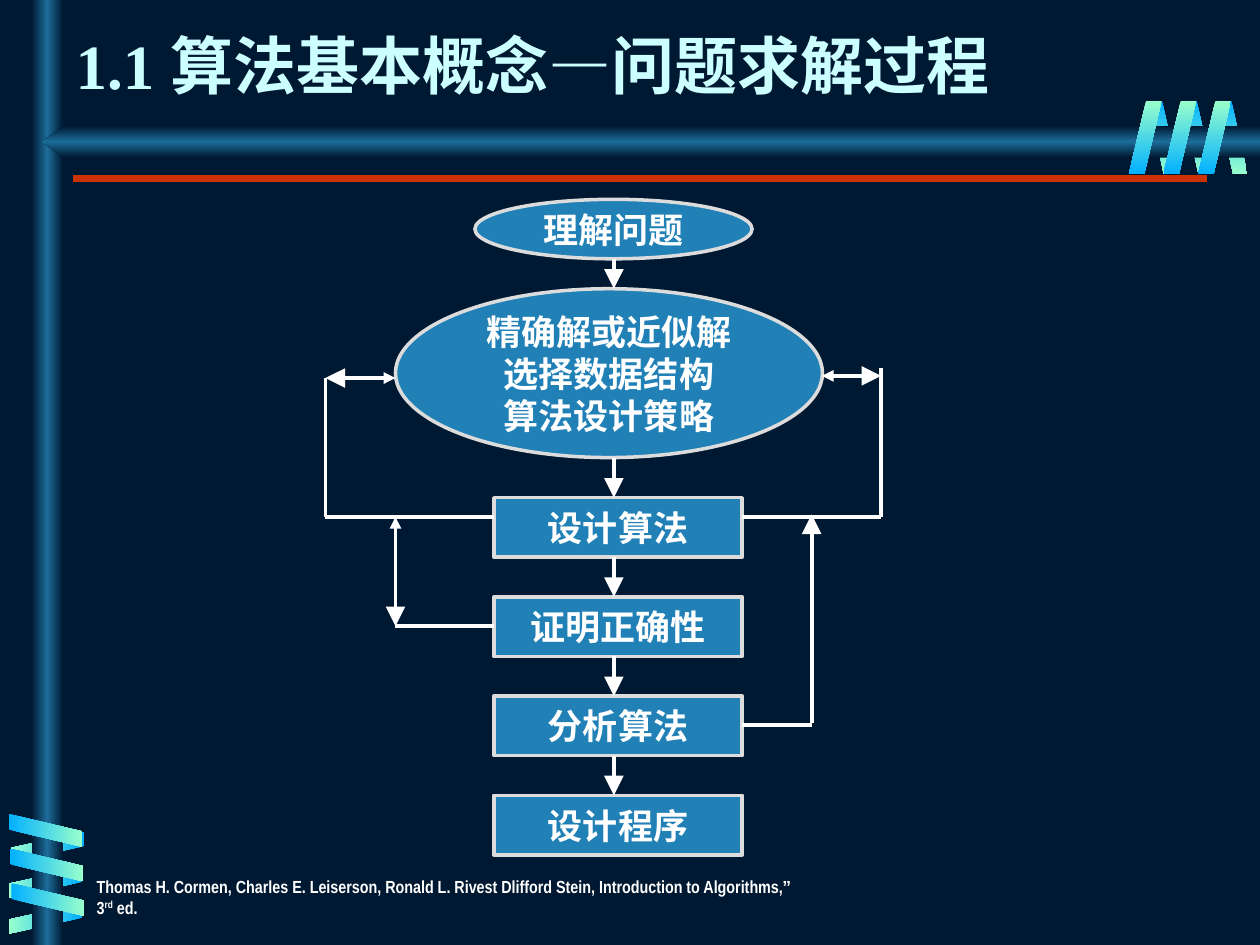
"""Build a slide with a flowchart of the problem-solving process."""
import pptx
import pptx.dml.color
import pptx.enum.shapes
import pptx.enum.text
import pptx.oxml
import pptx.oxml.ns
import pptx.util

Pt = pptx.util.Pt
RGB = pptx.dml.color.RGBColor
Kind = pptx.enum.shapes.MSO_SHAPE
NAVY = RGB(0x00, 0x19, 0x32)
STEEL = RGB(0x1C, 0x6D, 0x9A)
SKY = RGB(0x01, 0xB0, 0xFF)
MINT = RGB(0x99, 0xFF, 0xCC)
PALE = RGB(0xCC, 0xFF, 0xFF)
BLUE = RGB(0x21, 0x81, 0xB7)
GREY = RGB(0xDC, 0xDC, 0xDC)
RED = RGB(0xCC, 0x33, 0x00)
WHITE = RGB(0xFF, 0xFF, 0xFF)
SPACE = pptx.oxml.ns.nsdecls("a")


def shade(shape, tones, angle):
    shape.fill.background()
    last = len(tones) - 1
    stops = "".join(
        f'<a:gs pos="{100000 * i // last}"><a:srgbClr val="{tone}"/></a:gs>'
        for i, tone in enumerate(tones))
    grad = pptx.oxml.parse_xml(
        f'<a:gradFill {SPACE} rotWithShape="0"><a:gsLst>{stops}</a:gsLst>'
        f'<a:lin ang="{angle * 60000}" scaled="1"/></a:gradFill>')
    props = shape._element.spPr
    props.replace(props.find(pptx.oxml.ns.qn("a:noFill")), grad)


def link(start, end, tone=WHITE, width=2.25, head=False, tail=False):
    line = slide.shapes.add_connector(
        pptx.enum.shapes.MSO_CONNECTOR.STRAIGHT,
        Pt(start[0]), Pt(start[1]), Pt(end[0]), Pt(end[1]))
    line.line.color.rgb = tone
    line.line.width = Pt(width)
    for shown, tag, size in ((head, "headEnd", "med"), (tail, "tailEnd", "lg")):
        if shown:
            line.line._get_or_add_ln().append(pptx.oxml.parse_xml(
                f'<a:{tag} {SPACE} type="triangle" w="{size}" len="{size}"/>'))
    line._element.spPr.append(pptx.oxml.parse_xml(f"<a:effectLst {SPACE}/>"))


deck = pptx.Presentation()
deck.slide_width, deck.slide_height = Pt(720), Pt(540)
slide = deck.slides.add_slide(deck.slide_layouts[5])
slide.background.fill.solid()
slide.background.fill.fore_color.rgb = NAVY

SLANT = Kind.PARALLELOGRAM
decor = [(SLANT, 695.5 - 19.8 * i, 57.6, 17.3, 41.8, 180, True, 0.53, (SKY, MINT), 90)
         for i in range(3)]
decor += [(SLANT, left, 463 + 20.5 * i, 17.3, 41.8, 90, True, 0.53, (SKY, MINT), 0)
          for i, left in enumerate((18.7, 17.3, 17.3))]
decor += [(Kind.RECTANGLE, 18, 0, 18, 540, 0, False, None, (NAVY, STEEL, NAVY), 0),
          (Kind.PENTAGON, 23.8, 72, 696.2, 18, 0, True, 0.68, (NAVY, STEEL, NAVY), 90)]
decor += [(SLANT, 16.6 + 0.7 * i, 453.6 + 19.8 * i, 18.7, 41.8, 270, False, 0.53, (SKY, MINT), 0)
          for i in range(3)]
decor += [(SLANT, 684.7 - 19.8 * i, 57.6, 18.7, 41.8, 0, False, 0.53, (MINT, SKY), 90)
          for i in range(3)]
for kind, left, top, width, height, turn, flip, bend, tones, angle in decor:
    shape = slide.shapes.add_shape(kind, Pt(left), Pt(top), Pt(width), Pt(height))
    shape.shadow.inherit = False
    shape.rotation = turn
    shape.line.fill.background()
    if flip:
        shape._element.spPr.xfrm.set("flipH", "1")
    if bend:
        shape.adjustments[0] = bend
    shade(shape, tones, angle)

link((42, 102), (690, 102), RED, 4.5)

title = slide.shapes.title
title.left, title.top, title.width, title.height = Pt(36), Pt(0), Pt(648), Pt(62)
note = slide.shapes.add_textbox(Pt(48.2), Pt(496.8), Pt(414), Pt(24))
title.text_frame.vertical_anchor = pptx.enum.text.MSO_ANCHOR.BOTTOM
texts = [
    (title, 36, PALE, [("1.1 算法基本概念", "Times New Roman"), ("—", "Arial"),
                       ("问题求解过程", "Times New Roman")]),
    (note, 10, WHITE, [
        ("Thomas H. Cormen, Charles E. Leiserson, Ronald L. Rivest Dlifford Stein, "
         "Introduction to Algorithms,", "Arial Narrow"),
        ("”", "Arial"), (" 3", "Arial Narrow"), ("rd", "Arial Narrow"),
        (" ed.", "Arial Narrow")]),
]
for shape, size, tone, parts in texts:
    shape.text_frame.word_wrap = True
    para = shape.text_frame.paragraphs[0]
    para.alignment = pptx.enum.text.PP_ALIGN.LEFT
    for words, face in parts:
        run = para.add_run()
        run.text = words
        run.font.name = face
        run.font.size = Pt(size)
        run.font.bold = True
        run.font.color.rgb = tone
        if words == "rd":
            run.font._element.set("baseline", "30000")

FIRST, STEP, TALL, MID = 284.4, 56.7, 34, 350.8
nodes = [(Kind.OVAL, 271.4, 113.9, 158.4, TALL, "理解问题", "Arial"),
         (Kind.OVAL, 226, 165, 244, 96.5, "精确解或近似解\n选择数据结构\n算法设计策略", "Arial")]
steps = (("设计算法", "Arial"), ("证明正确性", "Roboto"),
         ("分析算法", "Roboto"), ("设计程序", "Roboto"))
nodes += [(Kind.RECTANGLE, 282.2, FIRST + STEP * i, 142, TALL, words, face)
          for i, (words, face) in enumerate(steps)]
for kind, left, top, width, height, words, face in nodes:
    node = slide.shapes.add_shape(kind, Pt(left), Pt(top), Pt(width), Pt(height))
    node.shadow.inherit = False
    node.fill.solid()
    node.fill.fore_color.rgb = BLUE
    node.line.color.rgb = GREY
    node.line.width = Pt(2)
    frame = node.text_frame
    frame.text = words
    frame.word_wrap = False
    frame.vertical_anchor = pptx.enum.text.MSO_ANCHOR.MIDDLE
    for para in frame.paragraphs:
        para.alignment = pptx.enum.text.PP_ALIGN.CENTER
        font = para.runs[0].font
        font.name = face
        font.size = Pt(20)
        font.bold = True
        font.color.rgb = WHITE

for above, below in zip(nodes, nodes[1:]):
    link((MID, above[2] + above[4]), (MID, below[2]), tail=True)

for start, end in (((226, 216), (186, 216)), ((469.7, 214.8), (503.5, 214.8)),
                   ((226, 295.4), (226, 357.8))):
    link(start, end, head=True, tail=True)
link((463.8, 413.3), (463.8, 294), tail=True)
for start, end in (((186, 216), (186, 295.4)), ((186, 295.4), (282.2, 295.4)),
                   ((503.5, 210.2), (503.5, 295.4)), ((503.5, 295.4), (424.2, 295.4)),
                   ((424.2, 414.5), (463.8, 414.5)), ((226, 357.8), (282.2, 357.8))):
    link(start, end)

deck.save("out.pptx")
